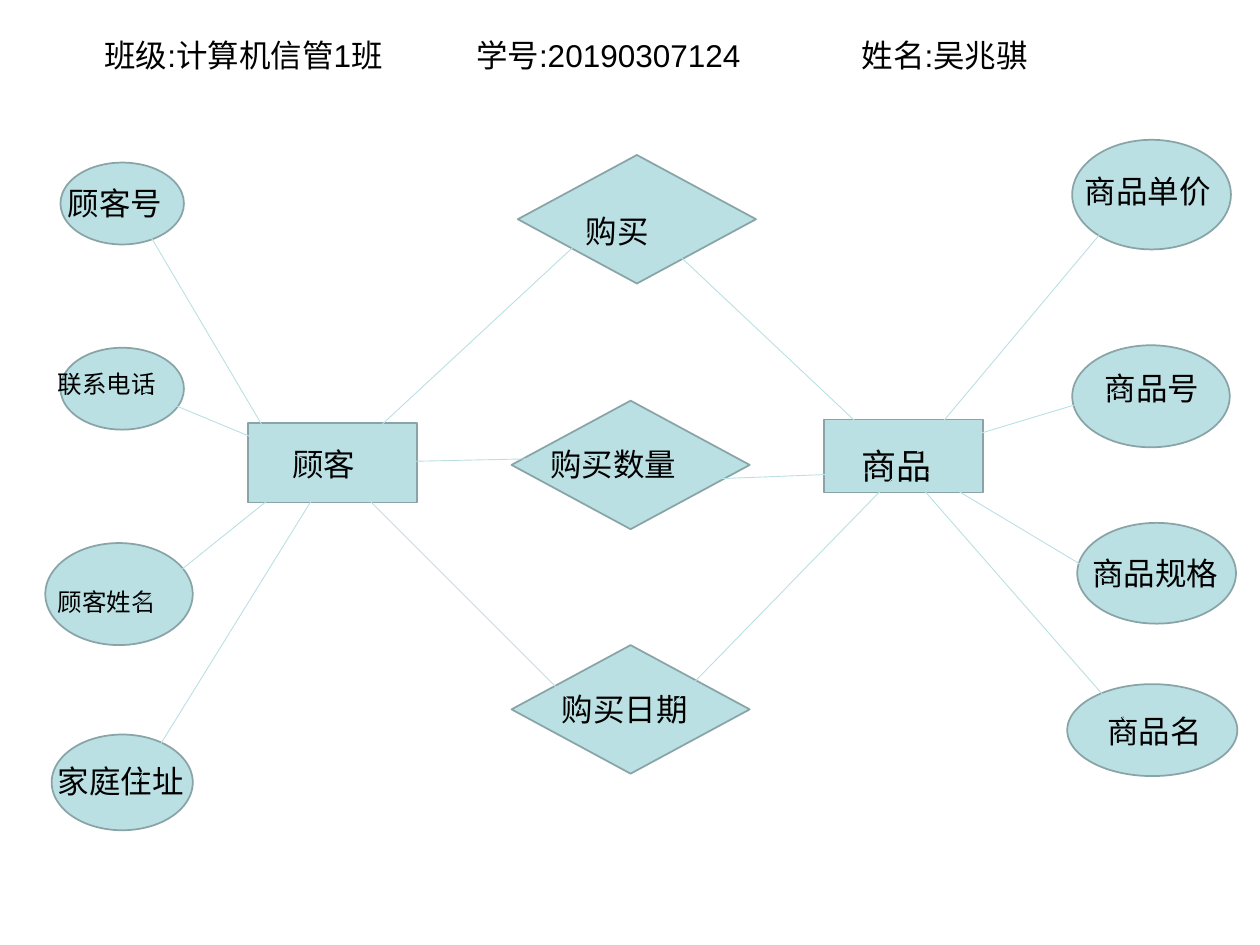
"""Build an entity-relationship slide linking customers and goods."""

from dataclasses import dataclass

import pptx
import pptx.dml.color
import pptx.enum.shapes
import pptx.enum.text
import pptx.oxml.ns
import pptx.slide
import pptx.util
from lxml import etree
from pptx.util import Inches

FILL = pptx.dml.color.RGBColor(0xBB, 0xE0, 0xE3)
OUTLINE = pptx.dml.color.RGBColor(0x89, 0xA4, 0xA7)
BLACK = pptx.dml.color.RGBColor(0x00, 0x00, 0x00)

PRESETS = pptx.enum.shapes.MSO_SHAPE
ATTRIBUTE = PRESETS.OVAL
ENTITY = PRESETS.RECTANGLE
RELATIONSHIP = PRESETS.FLOWCHART_DECISION

Point = tuple[float, float]
Box = tuple[float, float, float, float]


@dataclass(frozen=True)
class Label:
    text: str
    left: float
    top: float
    width: float
    height: float = 0.4
    size: int = 18


@dataclass(frozen=True)
class Node:
    preset: PRESETS
    box: Box
    label: Label


@dataclass(frozen=True)
class Link:
    start: Point
    end: Point


HEADINGS = [
    Label("班级:计算机信管1班", 0.73, 0.24, 2.42, 0.7),
    Label("学号:20190307124", 3.68, 0.24, 2.43),
    Label("姓名:吴兆骐", 6.74, 0.24, 1.53, 0.7),
]

NODES = [
    Node(ENTITY, (1.97, 3.36, 1.34, 0.63), Label("顾客", 2.22, 3.48, 0.83)),
    Node(ATTRIBUTE, (0.48, 1.29, 0.98, 0.65), Label("顾客号", 0.44, 1.41, 1.05)),
    Node(ATTRIBUTE, (0.48, 2.76, 0.98, 0.65), Label("联系电话", 0.36, 2.88, 1.17, 0.34, 14)),
    Node(ATTRIBUTE, (0.36, 4.31, 1.17, 0.81), Label("顾客姓名", 0.36, 4.61, 1.28, 0.34, 14)),
    Node(ATTRIBUTE, (0.41, 5.83, 1.12, 0.76), Label("家庭住址", 0.36, 6, 1.28)),
    Node(ENTITY, (6.54, 3.33, 1.26, 0.58), Label("商品", 6.74, 3.48, 1.06, 0.44, 20)),
    Node(ATTRIBUTE, (8.51, 1.11, 1.26, 0.87), Label("商品单价", 8.51, 1.32, 1.34)),
    Node(ATTRIBUTE, (8.51, 2.74, 1.25, 0.81), Label("商品号", 8.67, 2.88, 1.02)),
    Node(ATTRIBUTE, (8.55, 4.15, 1.26, 0.8), Label("商品规格", 8.57, 4.35, 1.28)),
    Node(ATTRIBUTE, (8.47, 5.43, 1.35, 0.73), Label("商品名", 8.69, 5.6, 0.97)),
    Node(RELATIONSHIP, (4.11, 1.23, 1.89, 1.02), Label("购买", 4.55, 1.63, 0.9)),
    Node(RELATIONSHIP, (4.06, 3.18, 1.89, 1.02), Label("购买数量", 4.27, 3.48, 1.23)),
    Node(RELATIONSHIP, (4.06, 5.12, 1.89, 1.02), Label("购买日期", 4.36, 5.43, 1.32)),
]

LINKS = [
    Link((1.15, 1.8), (2.16, 3.51)),
    Link((1.13, 3.11), (2.48, 3.67)),
    Link((1.03, 4.85), (2.4, 3.75)),
    Link((1.08, 6.22), (2.56, 3.83)),
    Link((4.68, 1.84), (2.88, 3.51)),
    Link((4.75, 3.63), (2.87, 3.67)),
    Link((4.61, 5.65), (2.79, 3.83)),
    Link((5.18, 1.83), (7.05, 3.59)),
    Link((5.18, 3.82), (6.97, 3.75)),
    Link((5.32, 5.61), (7.13, 3.75)),
    Link((8.93, 1.62), (7.28, 3.59)),
    Link((8.94, 3.09), (7.28, 3.59)),
    Link((8.81, 4.62), (7.36, 3.75)),
    Link((8.95, 5.74), (7.28, 3.83)),
]


def add_label(slide: pptx.slide.Slide, label: Label) -> None:
    """Add a wrapped, left-aligned text box."""
    box = (label.left, label.top, label.width, label.height)
    frame = slide.shapes.add_textbox(*map(Inches, box)).text_frame
    frame.word_wrap = True
    frame.auto_size = pptx.enum.text.MSO_AUTO_SIZE.SHAPE_TO_FIT_TEXT
    paragraph = frame.paragraphs[0]
    paragraph.text = label.text
    paragraph.font.name = "Arial"
    paragraph.font.size = pptx.util.Pt(label.size)
    paragraph.font.color.rgb = BLACK


def add_node(slide: pptx.slide.Slide, node: Node) -> None:
    """Add a diagram shape with its label over it."""
    shape = slide.shapes.add_shape(node.preset, *map(Inches, node.box))
    shape.shadow.inherit = False
    shape.fill.solid()
    shape.fill.fore_color.rgb = FILL
    shape.line.color.rgb = OUTLINE
    shape.line.width = pptx.util.Pt(1)
    add_label(slide, node.label)


def add_link(slide: pptx.slide.Slide, link: Link) -> None:
    """Add a thin straight line without a shadow."""
    connector = slide.shapes.add_connector(
        pptx.enum.shapes.MSO_CONNECTOR.STRAIGHT, *map(Inches, link.start + link.end)
    )
    connector.line.color.rgb = FILL
    connector.line.width = pptx.util.Pt(0.5)
    etree.SubElement(connector.element.spPr, pptx.oxml.ns.qn("a:effectLst"))


def main() -> None:
    """Draw the diagram and save it."""
    presentation = pptx.Presentation()
    presentation.slide_width = Inches(10)
    presentation.slide_height = Inches(7.5)
    slide = presentation.slides.add_slide(presentation.slide_layouts.get_by_name("Blank"))
    for node in NODES:
        add_node(slide, node)
    for link in LINKS:
        add_link(slide, link)
    for heading in HEADINGS:
        add_label(slide, heading)
    presentation.save("out.pptx")


if __name__ == "__main__":
    main()
